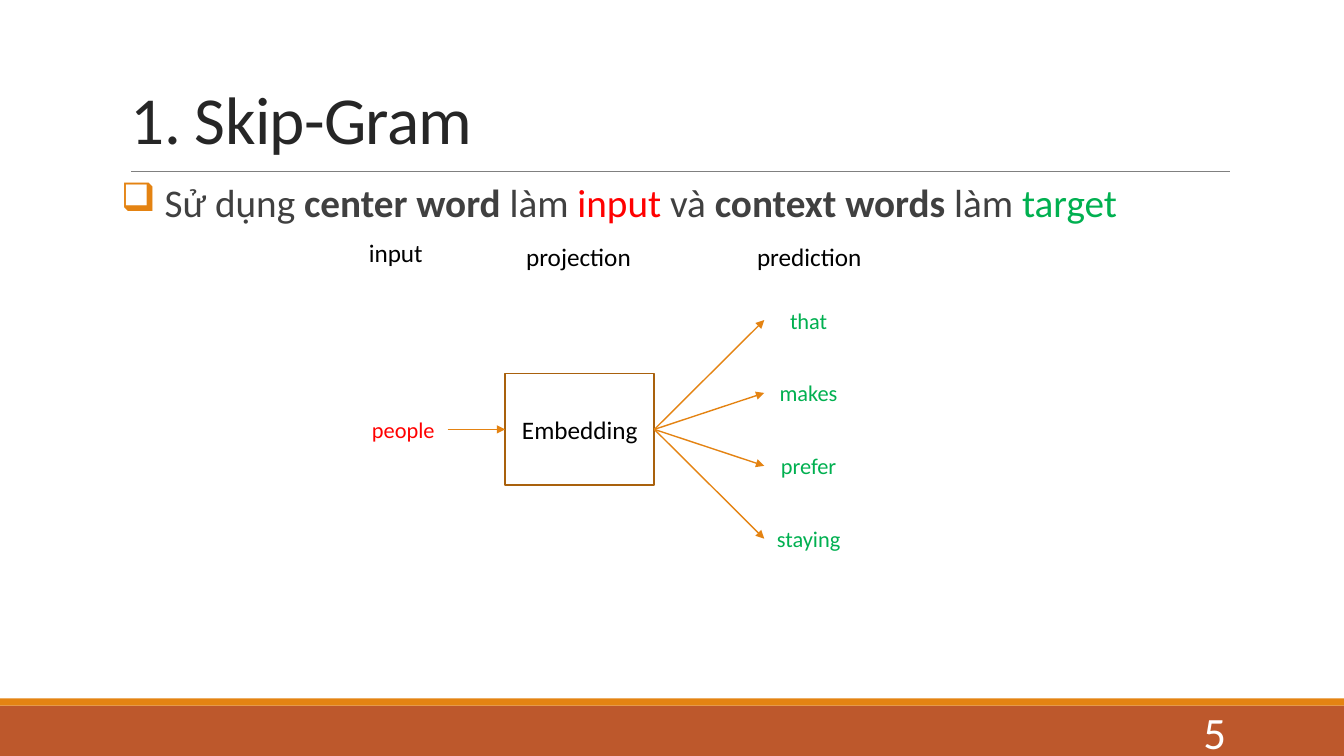
from dataclasses import dataclass

from lxml import etree
from pptx import Presentation
from pptx.dml.color import RGBColor
from pptx.enum.shapes import MSO_CONNECTOR, MSO_SHAPE
from pptx.enum.text import MSO_ANCHOR, MSO_AUTO_SIZE, PP_ALIGN
from pptx.oxml.ns import qn
from pptx.util import Inches, Pt

RECT = MSO_SHAPE.RECTANGLE
STRAIGHT = MSO_CONNECTOR.STRAIGHT
TOP, MIDDLE, BOTTOM = MSO_ANCHOR.TOP, MSO_ANCHOR.MIDDLE, MSO_ANCHOR.BOTTOM
LEFT, CENTER, RIGHT = PP_ALIGN.LEFT, PP_ALIGN.CENTER, PP_ALIGN.RIGHT
FIT_SHAPE = MSO_AUTO_SIZE.SHAPE_TO_FIT_TEXT
CELL = Inches(0.1)


@dataclass(frozen=True)
class Theme:
    font: str = "Calibri"
    footer: str = "BD582C"
    accent: str = "E48312"
    frame: str = "A9610D"
    rule: str = "808080"
    heading: str = "262626"
    body: str = "404040"
    black: str = "000000"
    white: str = "FFFFFF"
    source: str = "FF0000"
    target: str = "00B050"
    title_size: int = 48
    number_size: int = 32
    body_size: int = 28
    label_size: int = 18
    word_size: int = 16


class SlideBuilder:
    def __init__(self, slide, theme):
        self.shapes = slide.shapes
        self.theme = theme

    def cells(self, *lengths):
        return [round(length * CELL) for length in lengths]

    def color(self, value):
        return RGBColor.from_string(value)

    def fill_text(self, frame, content, size, color, align=LEFT, anchor=TOP):
        frame.vertical_anchor = anchor
        paragraph = frame.paragraphs[0]
        paragraph.alignment = align
        paragraph.font.name = self.theme.font
        paragraph.font.size = Pt(size)
        paragraph.font.color.rgb = self.color(color)
        paragraph.add_run().text = content
        return paragraph

    def text(self, box, content, size, color, align=LEFT, anchor=TOP):
        frame = self.shapes.add_textbox(*self.cells(*box)).text_frame
        frame.word_wrap = True
        return self.fill_text(frame, content, size, color, align, anchor)

    def label(self, box, content):
        frame = self.shapes.add_textbox(*self.cells(*box)).text_frame
        frame.word_wrap = False
        frame.auto_size = FIT_SHAPE
        self.fill_text(frame, content, self.theme.label_size, self.theme.black)

    def title(self, box, content):
        paragraph = self.text(box, content, self.theme.title_size,
                              self.theme.heading, anchor=BOTTOM)
        paragraph.line_spacing = 0.85
        paragraph.runs[0].font._element.set("spc", "-50")

    def bullet(self, box, parts):
        frame = self.shapes.add_textbox(*self.cells(*box)).text_frame
        frame.word_wrap = True
        frame.margin_left = frame.margin_right = 0
        paragraph = frame.paragraphs[0]
        paragraph.line_spacing = 0.9
        paragraph.space_before, paragraph.space_after = Pt(12), Pt(2)
        properties = paragraph._p.get_or_add_pPr()
        properties.set("marL", str(int(CELL)))
        properties.set("indent", str(-int(CELL)))
        tint = etree.SubElement(properties, qn("a:buClr"))
        etree.SubElement(tint, qn("a:srgbClr"), val=self.theme.accent)
        etree.SubElement(properties, qn("a:buChar"), char="❑")
        paragraph.font.name = self.theme.font
        paragraph.font.size = Pt(self.theme.body_size)
        for content, color, bold in parts:
            run = paragraph.add_run()
            run.text = content
            run.font.color.rgb = self.color(color)
            run.font.bold = bold

    def band(self, box, color):
        band = self.shapes.add_shape(RECT, *self.cells(*box))
        band.shadow.inherit = False
        band.fill.solid()
        band.fill.fore_color.rgb = self.color(color)
        band.line.fill.background()

    def framed(self, box, content):
        framed = self.shapes.add_shape(RECT, *self.cells(*box))
        framed.shadow.inherit = False
        framed.fill.background()
        framed.line.color.rgb = self.color(self.theme.frame)
        framed.line.width = Pt(1.25)
        self.fill_text(framed.text_frame, content, self.theme.label_size,
                       self.theme.black, CENTER, MIDDLE)

    def line(self, start, end, color, width):
        line = self.shapes.add_connector(STRAIGHT, *self.cells(*start, *end))
        line.line.color.rgb = self.color(color)
        line.line.width = Pt(width)
        etree.SubElement(line._element.spPr, qn("a:effectLst"))
        return line

    def arrow(self, start, end):
        arrow = self.line(start, end, self.theme.accent, 1)
        outline = arrow._element.spPr.find(qn("a:ln"))
        etree.SubElement(outline, qn("a:tailEnd"), type="triangle")

    def word(self, left, middle, content, color):
        width, height = 8.8, 3.9
        self.text((left, middle - height / 2, width, height), content,
                  self.theme.word_size, color, CENTER, MIDDLE)


def main():
    deck = Presentation()
    deck.slide_width, deck.slide_height = Inches(13.33), Inches(7.5)
    theme = Theme()
    page = SlideBuilder(deck.slides.add_slide(deck.slide_layouts[6]), theme)

    page.band((0, 70, 133.3, 5), theme.footer)
    page.band((0, 69.3, 133.3, 0.7), theme.accent)
    page.line((13, 17), (122, 17), theme.rule, 0.5)
    page.title((12, 3.1, 110, 13.1), "1. Skip-Gram")
    page.bullet((12, 17.7, 110, 46.5), [
        (" Sử dụng ", theme.body, False),
        ("center word ", theme.body, True),
        ("làm ", theme.body, False),
        ("input", theme.source, False),
        (" và ", theme.body, False),
        ("context words ", theme.body, True),
        ("làm ", theme.body, False),
        ("target", theme.target, False),
    ])
    page.text((108.3, 70.6, 14.3, 4), "5", theme.number_size, theme.white,
              RIGHT, MIDDLE)

    for left, top, width, stage in [(35.6, 23.1, 7.4, "input"),
                                    (51.2, 23.4, 12.5, "projection"),
                                    (74.1, 23.4, 12.5, "prediction")]:
        page.label((left, top, width, 4), stage)

    axis = 42.6
    embedding_left, embedding_right, embedding_height = 50.1, 64.9, 11.1
    page.word(35.6, axis, "people", theme.source)
    page.framed((embedding_left, axis - embedding_height / 2,
                 embedding_right - embedding_left, embedding_height),
                "Embedding")
    page.arrow((44.4, axis), (embedding_left, axis))

    context_words = ["that", "makes", "prefer", "staying"]
    context_left, context_pitch = 75.8, 7.23
    for index, context in enumerate(context_words):
        middle = axis + (index - (len(context_words) - 1) / 2) * context_pitch
        page.word(context_left, middle, context, theme.target)
        page.arrow((embedding_right, axis), (context_left, middle))

    deck.save("out.pptx")


if __name__ == "__main__":
    main()
